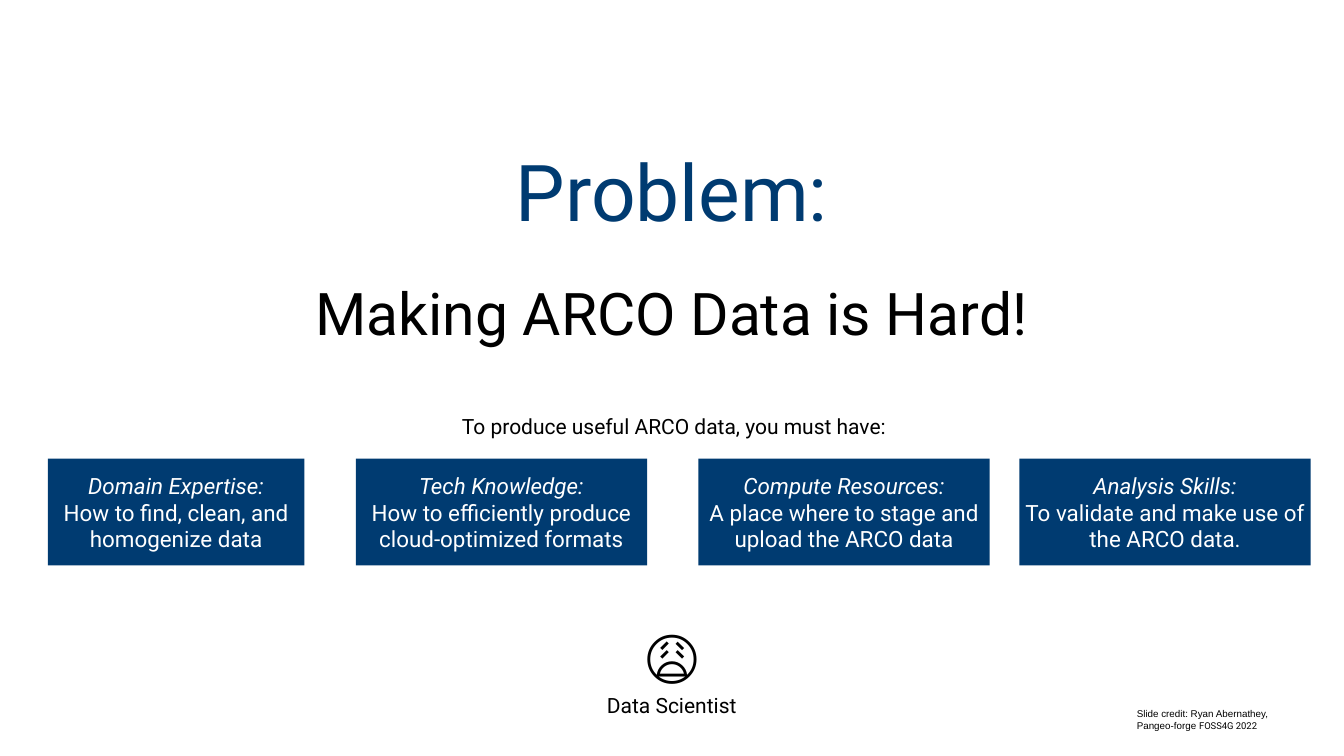
from pptx import Presentation
from pptx.dml.color import RGBColor
from pptx.enum import shapes, text
from pptx.util import Emu, Pt

PX = 9144  # 100 px to the inch
NAVY, BLACK, WHITE = "003B71", "000000", "FFFFFF"

TITLE = ("Problem:", (185, 252, 2297, 250), 112)
LINES = [
    ("Making ARCO Data is Hard!", (581, 544, 1504, 149), 84),
    ("To produce useful ARCO data, you must have:", (900, 815, 875, 60), 30),
    ("Data Scientist", (1197, 1369, 272, 60), 30),
    ("😩", (1269, 1214, 129, 164), 84),
]
TOP, HIGH = 910, 212
NEEDS = [  # left, width, heading, detail
    (95, 509, "Domain Expertise:", "How to find, clean, and homogenize data"),
    (706, 578, "Tech Knowledge:",
     "How to efficiently produce cloud-optimized formats"),
    (1386, 578, "Compute Resources:",
     "A place where to stage and upload the ARCO data"),
    (2023, 578, "Analysis Skills:",
     "To validate and make use of the ARCO data."),
]
CREDIT_AT = (2246, 1395, 328, 67)
CREDIT = [("Slide credit: Ryan Abernathey, Pangeo-forge ", 14, "Arial"),
          ("FOSS4G 2022", 13.5, "Roboto")]


def color(code):
    return RGBColor.from_string(code)


def emu(box):
    return [Emu(n * PX) for n in box]


def frame(shape, inset, anchor=text.MSO_ANCHOR.MIDDLE,
          align=text.PP_ALIGN.CENTER, fit=text.MSO_AUTO_SIZE.NONE):
    """Format the text frame and return its first paragraph."""
    body = shape.text_frame
    form = {"word_wrap": True, "auto_size": fit, "vertical_anchor": anchor}
    for side in ("left", "right", "top", "bottom"):
        form["margin_" + side] = Emu(inset * PX)
    for name, value in form.items():
        setattr(body, name, value)
    para = body.paragraphs[0]
    para.alignment = align
    return para


def write(para, words, size, tone=BLACK, face="Roboto", slant=False):
    run = para.add_run()
    run.text = words
    form = {"size": Pt(size), "name": face, "bold": False, "italic": slant}
    for name, value in form.items():
        setattr(run.font, name, value)
    run.font.color.rgb = color(tone)


def main():
    deck = Presentation()
    deck.slide_width, deck.slide_height = emu((2667, 1500))
    slide = deck.slides.add_slide(deck.slide_layouts[5])
    grow = text.MSO_AUTO_SIZE.SHAPE_TO_FIT_TEXT

    words, box, size = TITLE
    title = slide.shapes.title
    title.left, title.top, title.width, title.height = emu(box)
    write(frame(title, 6), words, size, NAVY)

    for left, width, head, detail in NEEDS:
        card = slide.shapes.add_shape(shapes.MSO_SHAPE.RECTANGLE,
                                      *emu((left, TOP, width, HIGH)))
        card.shadow.inherit = False
        card.fill.solid()
        card.fill.fore_color.rgb = color(NAVY)
        card.line.fill.background()
        para = frame(card, 0)
        write(para, head, 32, WHITE, slant=True)
        para.add_line_break()
        write(para, detail, 32, WHITE)

    for words, box, size in LINES:
        label = slide.shapes.add_textbox(*emu(box))
        write(frame(label, 6, fit=grow), words, size)

    credit = slide.shapes.add_textbox(*emu(CREDIT_AT))
    para = frame(credit, 10, text.MSO_ANCHOR.TOP, text.PP_ALIGN.LEFT, grow)
    for words, size, face in CREDIT:
        write(para, words, size, face=face)

    deck.save("out.pptx")


if __name__ == "__main__":
    main()
